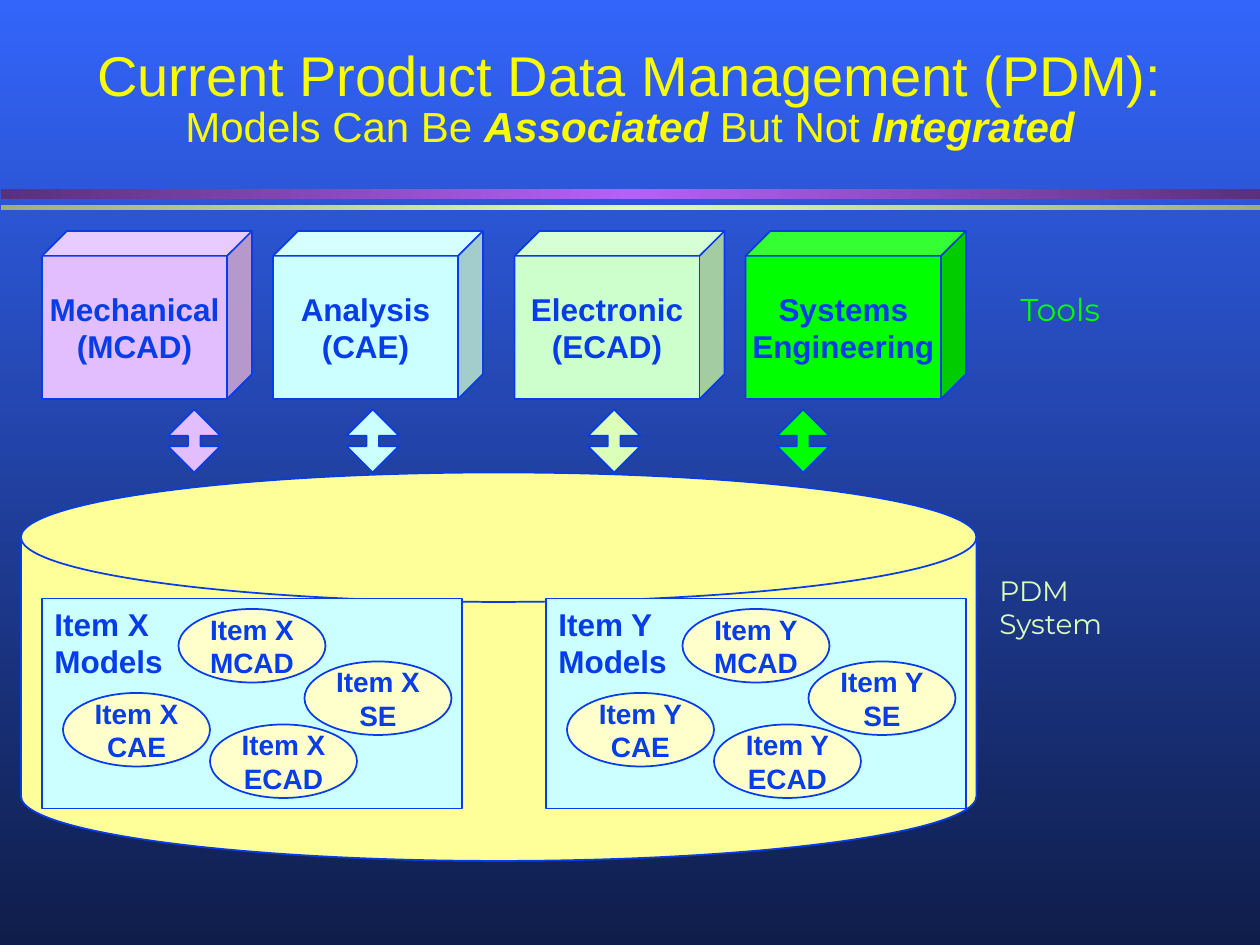
from copy import deepcopy

from lxml.etree import SubElement
from pptx import Presentation
from pptx.dml.color import RGBColor
from pptx.enum.shapes import MSO_SHAPE
from pptx.enum.text import MSO_ANCHOR, MSO_AUTO_SIZE, PP_ALIGN
from pptx.oxml.ns import qn
from pptx.util import Inches, Pt

# The slide is a grid of 120 columns by 90 rows, twelve to the inch
CELLS_PER_INCH = 12

BLUE = RGBColor(0x06, 0x3D, 0xE8)
YELLOW = RGBColor(0xFA, 0xFD, 0x00)
SKY = RGBColor(0x33, 0x65, 0xFB)
NAVY = RGBColor(0x0F, 0x1D, 0x4A)
PLUM = RGBColor(0x5A, 0x2F, 0x7B)
VIOLET = RGBColor(0xB7, 0x60, 0xF9)
OLIVE = RGBColor(0x98, 0xB1, 0x7F)
LIME = RGBColor(0xDB, 0xFF, 0xB8)
SAND = RGBColor(0xFF, 0xFF, 0x99)
CREAM = RGBColor(0xFF, 0xFF, 0xCC)
LILAC = RGBColor(0xE3, 0xBE, 0xFF)
CYAN = RGBColor(0xCC, 0xFF, 0xFF)
MINT = RGBColor(0xCC, 0xFF, 0xCC)
GREEN = RGBColor(0x00, 0xFF, 0x00)

# Label, fill, left column, width, arrow column, arrow fill
TOOLS = [
    ("Mechanical\n(MCAD)", LILAC, 4, 20, 16, LILAC),
    ("Analysis\n(CAE)", CYAN, 26, 20, 33, CYAN),
    ("Electronic\n(ECAD)", MINT, 49, 20, 56, LIME),
    ("Systems\nEngineering", GREEN, 71, 21, 74, GREEN),
]

# Model name with its column and row inside an item panel
MODELS = [("MCAD", 13, 1), ("CAE", 2, 9), ("ECAD", 16, 12), ("SE", 25, 6)]


def cells(*counts):
    return [Inches(count / CELLS_PER_INCH) for count in counts]


def fill_gradient(fill, start, end, angle, mirrored=False):
    """Blend start into end, and back to start again when mirrored."""
    fill.gradient()
    fill.gradient_angle = angle
    first, last = fill.gradient_stops
    first.color.rgb, last.color.rgb = start, end
    first.position, last.position = 0, 1
    if mirrored:
        last.position = 0.5
        closing = deepcopy(first._gs)
        closing.set("pos", "100000")
        last._gs.addnext(closing)


def write_text(box, paragraphs, size=18, color=BLUE, name="Arial", bold=True,
               align=PP_ALIGN.CENTER, anchor=MSO_ANCHOR.MIDDLE, wrap=False,
               spacing=None, outlined=False):
    """Each paragraph is a list of (text, size, emphasis) spans or one string."""
    frame = box.text_frame
    frame.word_wrap = wrap
    frame.vertical_anchor = anchor
    for index, spans in enumerate(paragraphs):
        para = frame.paragraphs[0] if index == 0 else frame.add_paragraph()
        para.alignment = align
        para.line_spacing = spacing
        if isinstance(spans, str):
            spans = [(spans, size, False)]
        for text, span_size, emphasis in spans:
            for line_number, line in enumerate(text.split("\n")):
                if line_number:
                    para.add_line_break()
                    para._p[-1].append(deepcopy(span._r.rPr))
                if not line:
                    continue
                span = para.add_run()
                span.text = line
                font = span.font
                font.name, font.size = name, Pt(span_size)
                font.bold, font.italic = bold or emphasis, emphasis
                font.color.rgb = color
                if outlined:
                    outline = SubElement(span._r.rPr, qn("a:ln"), w=str(Pt(0.75)))
                    solid = SubElement(outline, qn("a:solidFill"))
                    SubElement(solid, qn("a:srgbClr"), val="000000")
                    span._r.rPr.insert(0, outline)


def add_block(shapes, kind, area, color, adjustments=()):
    block = shapes.add_shape(kind, *cells(*area))
    block.shadow.inherit = False
    block.fill.solid()
    block.fill.fore_color.rgb = color
    block.line.color.rgb = BLUE
    block.line.width = Pt(1)
    for index, value in enumerate(adjustments):
        block.adjustments[index] = value
    return block


def add_label(shapes, area, paragraphs, **text_format):
    box = shapes.add_textbox(*cells(*area))
    write_text(box, paragraphs, **text_format)
    return box


def add_stripe(shapes, area, edge, middle):
    stripe = shapes.add_shape(MSO_SHAPE.RECTANGLE, *cells(*area))
    stripe.shadow.inherit = False
    stripe.line.fill.background()
    fill_gradient(stripe.fill, edge, middle, 180, mirrored=True)


def add_tool(shapes, label, color, left, width, arrow_left, arrow_color):
    cube = add_block(shapes, MSO_SHAPE.CUBE, (left, 22, width, 16), color, [0.148])
    write_text(cube, [label])
    add_block(shapes, MSO_SHAPE.UP_DOWN_ARROW, (arrow_left, 39, 5, 6),
              arrow_color, [0.5, 0.239])


def add_item_panel(page, item, left, top):
    shapes = page.shapes.add_group_shape().shapes
    add_block(shapes, MSO_SHAPE.RECTANGLE, (left, top, 40, 20), CYAN)
    for model, column, row in MODELS:
        oval = add_block(shapes, MSO_SHAPE.OVAL,
                         (left + column, top + row, 14, 7), CREAM)
        write_text(oval, [f"{item}\n{model}"], size=16)
    heading = add_label(shapes, (left, top, 12.7, 8.4), [item, "Models"],
                        align=PP_ALIGN.LEFT, anchor=MSO_ANCHOR.TOP)
    heading.text_frame.auto_size = MSO_AUTO_SIZE.SHAPE_TO_FIT_TEXT


def main():
    deck = Presentation()
    deck.slide_width, deck.slide_height = cells(120, 90)
    page = deck.slides.add_slide(deck.slide_layouts[6])
    shapes = page.shapes

    # Background and stripes under the title
    fill_gradient(page.background.fill, SKY, NAVY, 270)
    add_stripe(shapes, (0.1, 18, 119.9, 1), PLUM, VIOLET)
    add_stripe(shapes, (0.1, 19.5, 119.9, 0.5), OLIVE, LIME)

    # Title
    title = [("Current Product Data Management (PDM):\n", 32, False),
             ("Models Can Be ", 24, False), ("Associated", 24, True),
             (" But Not ", 24, False), ("Integrated", 24, True)]
    add_label(shapes, (5, 3, 110, 12), [title], color=YELLOW, bold=False,
              anchor=MSO_ANCHOR.BOTTOM, wrap=True, spacing=0.85)

    # Data store, tools and their arrows
    add_block(shapes, MSO_SHAPE.FLOWCHART_MAGNETIC_DISK, (2, 45, 91, 37), SAND)
    for tool in TOOLS:
        add_tool(shapes, *tool)

    # Side labels
    side_format = dict(name="Montserrat", bold=False, align=PP_ALIGN.LEFT,
                       anchor=MSO_ANCHOR.TOP, outlined=True)
    add_label(shapes, (96, 27, 12, 4), ["Tools"], color=GREEN, **side_format)
    add_label(shapes, (94, 54, 20, 18), ["PDM", "System"], size=16, color=LIME,
              **side_format)

    # Items held in the data store
    for item, left in (("Item X", 4), ("Item Y", 52)):
        add_item_panel(page, item, left, 57)

    deck.save("out.pptx")


if __name__ == "__main__":
    main()
